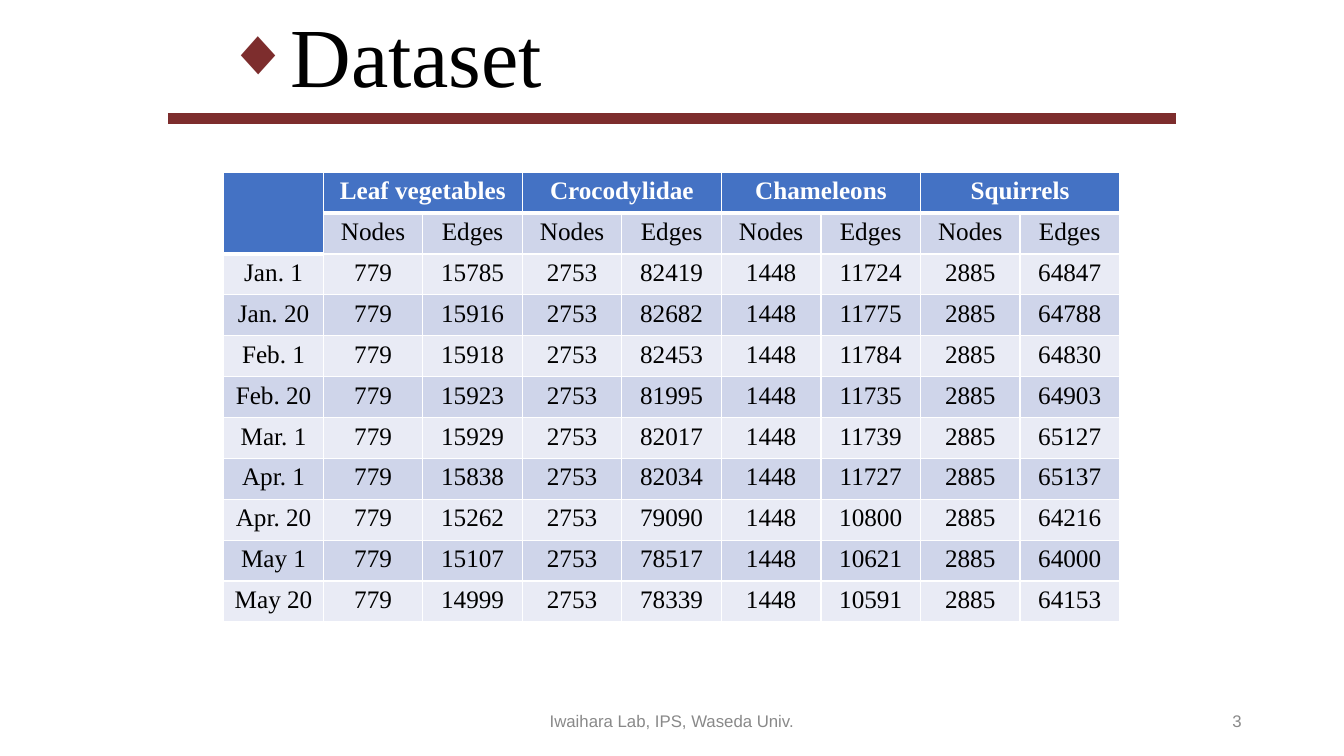
import pptx
import pptx.dml.color
import pptx.enum.shapes
import pptx.enum.text
import pptx.oxml
import pptx.oxml.ns
import pptx.util
from lxml import etree

Cm = pptx.util.Cm
Align = pptx.enum.text.PP_ALIGN
Anchor = pptx.enum.text.MSO_ANCHOR
SERIF, SANS = "Times New Roman", "Arial"
MAROON, BLUE, GREY, BLACK, WHITE = "7D2D2D", "4472C4", "898989", "000000", "FFFFFF"
BANDS = ("E9EBF5", "CFD5EA")

NODES = {"Leaf vegetables": 779, "Crocodylidae": 2753, "Chameleons": 1448, "Squirrels": 2885}
EDGES = {
    "Jan. 1": (15785, 82419, 11724, 64847),
    "Jan. 20": (15916, 82682, 11775, 64788),
    "Feb. 1": (15918, 82453, 11784, 64830),
    "Feb. 20": (15923, 81995, 11735, 64903),
    "Mar. 1": (15929, 82017, 11739, 65127),
    "Apr. 1": (15838, 82034, 11727, 65137),
    "Apr. 20": (15262, 79090, 10800, 64216),
    "May 1": (15107, 78517, 10621, 64000),
    "May 20": (14999, 78339, 10591, 64153),
}


def color(hex_code):
    """Turn a hex string into a colour."""
    return pptx.dml.color.RGBColor.from_string(hex_code)


def write(frame, text, size=18, font=SERIF, fill=BLACK, bold=False, align=Align.CENTER):
    """Write one formatted paragraph into a text frame and return it."""
    paragraph = frame.paragraphs[0]
    paragraph.alignment = align
    run = paragraph.add_run()
    run.text = text
    run.font.size = pptx.util.Pt(size)
    run.font.name = font
    run.font.bold = bold
    run.font.color.rgb = color(fill)
    return paragraph


def add_text(slide, box, text, anchor=Anchor.MIDDLE, **style):
    """Add a text box at (left, top, width, height) in cm."""
    frame = slide.shapes.add_textbox(*map(Cm, box)).text_frame
    frame.word_wrap = True
    frame.vertical_anchor = anchor
    return write(frame, text, **style)


def add_diamond_bullet(paragraph, indent):
    """Give a paragraph a hanging maroon diamond."""
    properties = paragraph._p.get_or_add_pPr()
    properties.set("marL", str(Cm(indent)))
    properties.set("indent", str(-Cm(indent)))
    namespace = pptx.oxml.ns.nsdecls("a")
    for markup in (f'<a:buClr {namespace}><a:srgbClr val="{MAROON}"/></a:buClr>',
                   f'<a:buSzPct {namespace} val="78000"/>',
                   f'<a:buFont {namespace} typeface="{SERIF}"/>',
                   f'<a:buChar {namespace} char="\u25c6"/>'):
        properties.append(pptx.oxml.parse_xml(markup))


def add_heading(slide, box):
    """Place the title and the rule below it in the box."""
    left, top, width, height = box
    title = add_text(slide, (left + 1.2, top, width - 2.4, height - 0.2), "Dataset",
                     anchor=Anchor.BOTTOM, size=60, align=Align.LEFT)
    title.line_spacing = 0.9
    add_diamond_bullet(title, 1.6)
    rule = slide.shapes.add_connector(
        pptx.enum.shapes.MSO_CONNECTOR.STRAIGHT,
        Cm(left), Cm(top + height), Cm(left + width), Cm(top + height))
    rule.line.color.rgb = color(MAROON)
    rule.line.width = pptx.util.Pt(8)
    etree.SubElement(rule._element.spPr, pptx.oxml.ns.qn("a:effectLst"))


def style_cell(cell, fill, bottom=1):
    """Fill a cell and draw its white borders, the bottom one in points."""
    cell.fill.solid()
    cell.fill.fore_color.rgb = color(fill)
    properties = cell._tc.get_or_add_tcPr()
    namespace = pptx.oxml.ns.nsdecls("a")
    for index, (side, points) in enumerate(zip("LRTB", (1, 1, 1, bottom))):
        properties.insert(index, pptx.oxml.parse_xml(
            f'<a:ln{side} {namespace} w="{pptx.util.Pt(points)}"><a:solidFill>'
            f'<a:srgbClr val="{WHITE}"/></a:solidFill></a:ln{side}>'))


def add_counts(slide, box):
    """Place the table of node and edge counts in the box."""
    rows = [[""] + ["Nodes", "Edges"] * len(NODES)]
    for date, edges in EDGES.items():
        rows.append([date] + [count for pair in zip(NODES.values(), edges) for count in pair])
    row_count, column_count = len(rows) + 1, len(rows[0])
    left, top, width, height = box
    table = slide.shapes.add_table(row_count, column_count, *map(Cm, box)).table
    for column in table.columns:
        column.width = Cm(width / column_count)
    for row in table.rows:
        row.height = Cm(height / row_count)

    for column in range(column_count):
        style_cell(table.cell(0, column), BLUE, bottom=3)
    for index, values in enumerate(rows, start=1):
        for column, value in enumerate(values):
            cell = table.cell(index, column)
            corner = index == 1 and column == 0
            style_cell(cell, BLUE if corner else BANDS[index % 2], bottom=3 if corner else 1)
            if not corner:
                write(cell.text_frame, str(value))

    table.cell(0, 0).merge(table.cell(1, 0))
    for index, topic in enumerate(NODES):
        header = table.cell(0, 2 * index + 1)
        header.merge(table.cell(0, 2 * index + 2))
        write(header.text_frame, topic, fill=WHITE, bold=True)


def add_footer(slide, box):
    """Place the lab name and the slide number in the box."""
    left, top, width, height = box
    style = {"size": 12, "font": SANS, "fill": GREY}
    add_text(slide, (left, top, 11.43, height), "Iwaihara Lab, IPS, Waseda Univ.", **style)
    add_text(slide, (left + width - 7.62, top, 7.62, height), "3", align=Align.RIGHT, **style)


def main():
    """Build and save the slide."""
    deck = pptx.Presentation()
    deck.slide_width, deck.slide_height = Cm(33.87), Cm(19.05)
    slide = deck.slides.add_slide(deck.slide_layouts[6])
    add_footer(slide, (11.22, 17.66, 20.32, 1.01))
    add_heading(slide, (4.23, 0.58, 25.4, 2.4))
    add_counts(slide, (5.64, 4.34, 22.58, 11.33))
    deck.save("out.pptx")


main()
